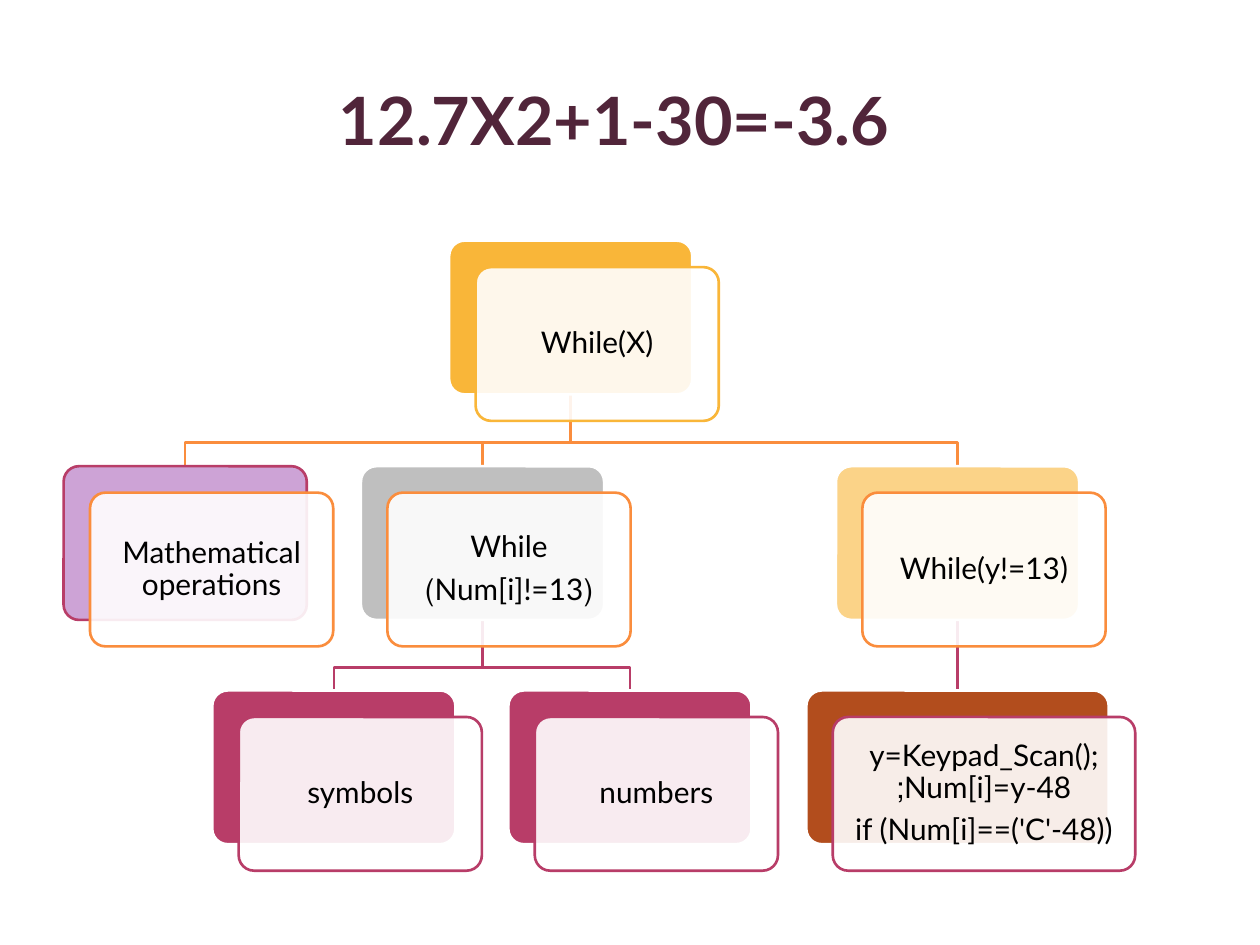
from lxml.etree import SubElement
from pptx import Presentation
from pptx.dml.color import RGBColor
from pptx.enum.shapes import MSO_CONNECTOR, MSO_SHAPE
from pptx.enum.text import MSO_ANCHOR as Anchor, PP_ALIGN as Align
from pptx.oxml.ns import qn
from pptx.util import Inches, Pt

WHITE = RGBColor(0xFF, 0xFF, 0xFF)
BLACK = RGBColor(0x00, 0x00, 0x00)
PLUM = RGBColor(0x51, 0x25, 0x3A)
AMBER = RGBColor(0xF9, 0xB6, 0x39)
ORANGE = RGBColor(0xFA, 0x8D, 0x3D)
MAGENTA = RGBColor(0xB8, 0x3D, 0x68)
LILAC = RGBColor(0xCD, 0xA3, 0xD6)
GRAY = RGBColor(0xBF, 0xBF, 0xBF)
SAND = RGBColor(0xFB, 0xD3, 0x88)
RUST = RGBColor(0xB2, 0x4D, 0x1D)

LEVEL_TOPS = [1.91, 3.7, 5.48]
LEVEL_COLORS = [AMBER, ORANGE, MAGENTA]
CARD_WIDTH, WIDE_CARD, CARD_HEIGHT = 1.93, 2.4, 1.22
OFFSET, BEND = 0.21, 0.38
INSET = Inches(0.11)
CARD_FRAME = {
    "word_wrap": True, "vertical_anchor": Anchor.MIDDLE,
    "margin_left": INSET, "margin_right": INSET,
    "margin_top": INSET, "margin_bottom": INSET,
}
CARD_PARAGRAPH = {"alignment": Align.CENTER, "line_spacing": 0.9, "space_after": Pt(6)}
CARD_FONT = {"name": "Lato", "size": Pt(17)}
TITLE_PLACE = {"left": Inches(2.64), "top": Inches(0.34),
               "width": Inches(6.14), "height": Inches(0.92)}
TITLE_FRAME = {
    "word_wrap": True, "vertical_anchor": Anchor.BOTTOM,
    "margin_left": Inches(0.05), "margin_right": Inches(0.05),
    "margin_top": 0, "margin_bottom": 0,
}
TITLE_FONT = {"name": "Lato", "size": Pt(38), "bold": True}

NODES = {
    "loop": (0, 4.53, CARD_WIDTH, AMBER, WHITE, ["While(X)"]),
    "operations": (1, 1.47, CARD_WIDTH, LILAC, MAGENTA, ["Mathematical operations"]),
    "digits": (1, 3.83, CARD_WIDTH, GRAY, WHITE, ["While", "(Num[i]!=13)"]),
    "symbols": (2, 2.65, CARD_WIDTH, MAGENTA, WHITE, ["symbols"]),
    "numbers": (2, 5.0, CARD_WIDTH, MAGENTA, WHITE, ["numbers"]),
    "key": (1, 7.6, CARD_WIDTH, SAND, WHITE, ["While(y!=13)"]),
    "scan": (2, 7.6, WIDE_CARD, RUST, WHITE,
             ["y=Keypad_Scan(); Num[i]=y-48;", "if (Num[i]==('C'-48))"]),
}
LINKS = [("key", "scan"), ("loop", "key"), ("digits", "numbers"),
         ("digits", "symbols"), ("loop", "digits"), ("loop", "operations")]


def apply(target, values):
    for attribute, value in values.items():
        setattr(target, attribute, value)


def add_card(left, top, width, fill, outline):
    card = slide.shapes.add_shape(MSO_SHAPE.ROUNDED_RECTANGLE, Inches(left), Inches(top),
                                  Inches(width), Inches(CARD_HEIGHT))
    card.adjustments[0] = 0.1
    card.shadow.inherit = False
    card.fill.solid()
    card.fill.fore_color.rgb = fill
    card.line.color.rgb = outline
    card.line.width = Pt(1.5)
    return card


deck = Presentation()
deck.slide_width, deck.slide_height = Inches(10), Inches(7.5)
slide = deck.slides.add_slide(deck.slide_layouts[5])

equation = slide.shapes.title
apply(equation, TITLE_PLACE)
equation.text_frame.text = "12.7X2+1-30=-3.6"
apply(equation.text_frame, TITLE_FRAME)
heading = equation.text_frame.paragraphs[0]
heading.alignment = Align.LEFT
apply(heading.font, TITLE_FONT)
heading.font.color.rgb = PLUM

for parent, child in LINKS:
    parent_level, parent_x = NODES[parent][:2]
    child_level, child_x = NODES[child][:2]
    start_y = LEVEL_TOPS[parent_level] + CARD_HEIGHT
    end_y = LEVEL_TOPS[child_level]
    if parent_x == child_x:
        branch = slide.shapes.add_connector(MSO_CONNECTOR.STRAIGHT, Inches(parent_x),
                                            Inches(start_y), Inches(child_x), Inches(end_y))
        SubElement(branch._element.spPr, qn("a:effectLst"))
    else:
        bend_y = start_y + BEND
        outline = slide.shapes.build_freeform(Inches(parent_x), Inches(start_y))
        corners = [(parent_x, bend_y), (child_x, bend_y), (child_x, end_y)]
        outline.add_line_segments([(Inches(x), Inches(y)) for x, y in corners], close=False)
        branch = outline.convert_to_shape()
        branch.fill.background()
        branch.shadow.inherit = False
    branch.line.color.rgb = LEVEL_COLORS[child_level]
    branch.line.width = Pt(1.5)

for level, center, width, fill, edge, lines in NODES.values():
    left, top = center - width / 2, LEVEL_TOPS[level]
    add_card(left, top, width, fill, edge)
    front = add_card(left + OFFSET, top + OFFSET, width, WHITE, LEVEL_COLORS[level])
    white_fill = front._element.spPr.find(qn("a:solidFill")).find(qn("a:srgbClr"))
    SubElement(white_fill, qn("a:alpha"), val="90000")
    label = front.text_frame
    label.text = "\n".join(lines)
    apply(label, CARD_FRAME)
    for paragraph in label.paragraphs:
        paragraph._p.get_or_add_pPr().set("rtl", "1")
        apply(paragraph, CARD_PARAGRAPH)
        apply(paragraph.font, CARD_FONT)
        paragraph.font.color.rgb = BLACK

deck.save("out.pptx")
